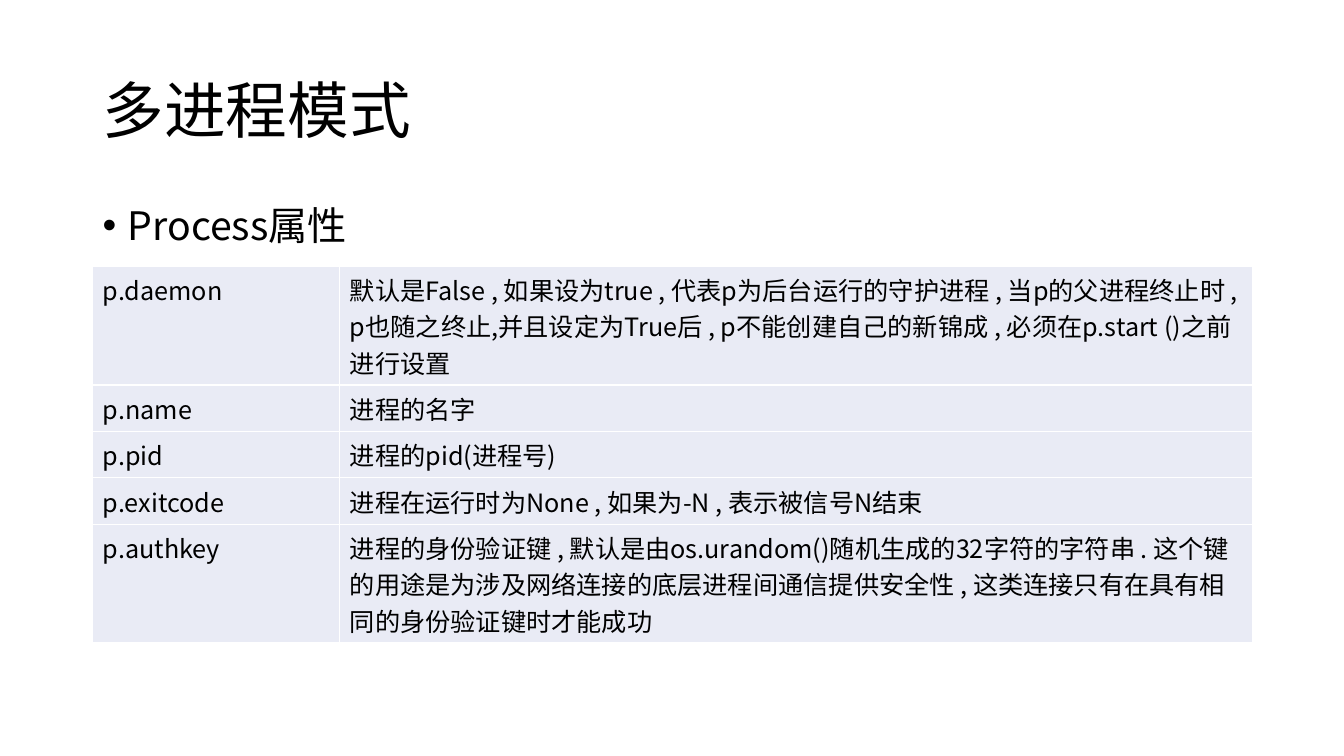
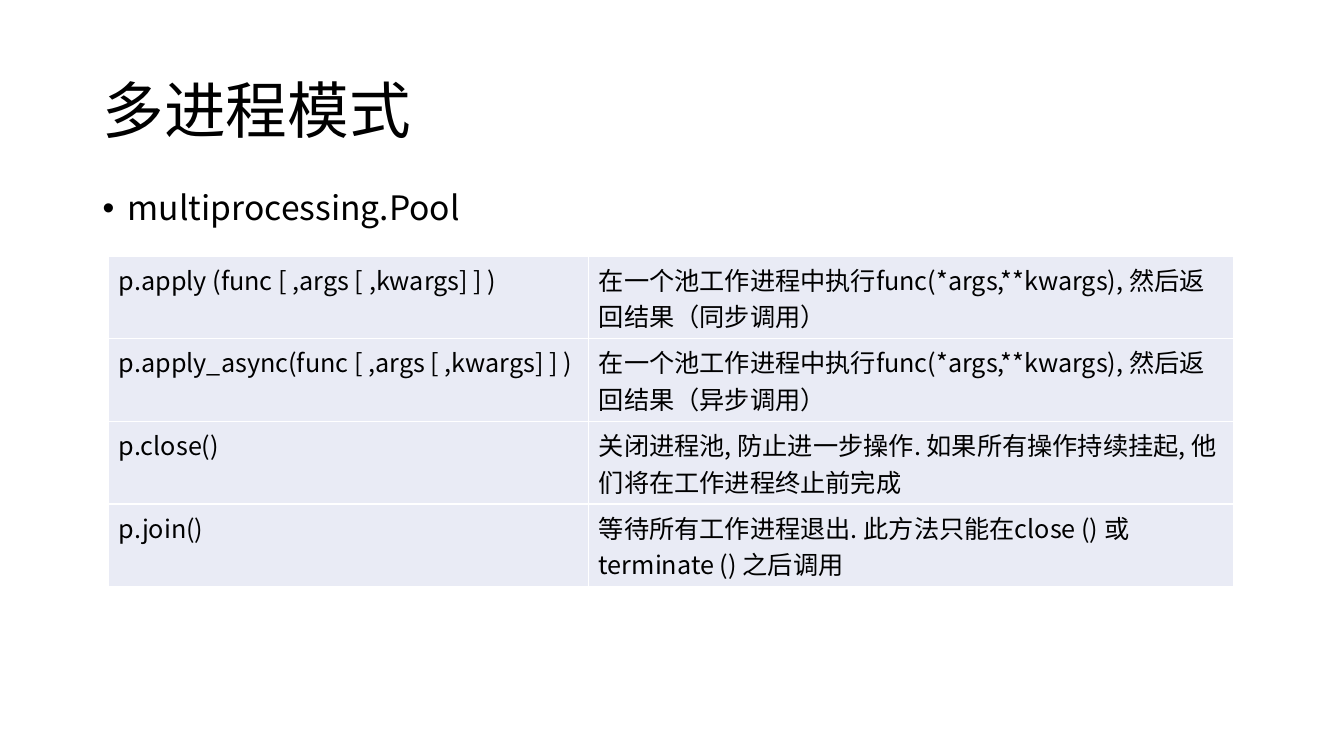
from dataclasses import dataclass

from lxml.etree import SubElement
from pptx import Presentation
from pptx.dml.color import RGBColor
from pptx.enum.text import MSO_ANCHOR as Anchor
from pptx.oxml.ns import qn
from pptx.slide import Slide
from pptx.table import _Cell as Cell
from pptx.text.text import _Paragraph as Paragraph
from pptx.util import Pt

PX = 9144
SLIDE_SIZE = (1333, 750)
FONT = "Noto Sans CJK SC"
COLORS = {"text": "000000", "cell": "E9EBF5", "border": "FFFFFF"}
TITLE = "多进程模式"
TITLE_SIZE, CELL_SIZE = 44, 18
MARGIN, CONTENT_WIDTH = 92, 1150
TITLE_TOP, TITLE_HEIGHT = 40, 145
BODY_HEIGHT = 476
BULLET_INDENT = 25
CELL_PADDING, CELL_LINE = 10, 36


@dataclass(frozen=True)
class Entry:
    """A documented member, its description and the lines that takes."""

    member: str
    description: str
    lines: int


@dataclass(frozen=True)
class Topic:
    """The heading and reference table of one slide."""

    heading: str
    heading_size: int
    heading_top: int
    table_left: int
    table_top: int
    columns: tuple[int, int]
    entries: tuple[Entry, ...]


TOPICS = (
    Topic("Process属性", 28, 200, 92, 264, (245, 905), (
        Entry("p.daemon", "默认是False , 如果设为true , 代表p为后台运行的守护进程 , "
              "当p的父进程终止时 , p也随之终止,并且设定为True后 , "
              "p不能创建自己的新锦成 , 必须在p.start ()之前进行设置", 3),
        Entry("p.name", "进程的名字", 1),
        Entry("p.pid", "进程的pid(进程号)", 1),
        Entry("p.exitcode", "进程在运行时为None , 如果为-N , 表示被信号N结束", 1),
        Entry("p.authkey", "进程的身份验证键 , 默认是由os.urandom()随机生成的32字符的字符串 . "
              "这个键的用途是为涉及网络连接的底层进程间通信提供安全性 , "
              "这类连接只有在具有相同的身份验证键时才能成功", 3),
    )),
    Topic("multiprocessing.Pool", 24, 185, 108, 254, (476, 640), (
        Entry("p.apply (func [ ,args [ ,kwargs] ] )",
              "在一个池工作进程中执行func(*args,**kwargs), 然后返回结果（同步调用）", 2),
        Entry("p.apply_async(func [ ,args [ ,kwargs] ] )",
              "在一个池工作进程中执行func(*args,**kwargs), 然后返回结果（异步调用）", 2),
        Entry("p.close()",
              "关闭进程池, 防止进一步操作. 如果所有操作持续挂起, 他们将在工作进程终止前完成", 2),
        Entry("p.join()",
              "等待所有工作进程退出. 此方法只能在close () 或terminate () 之后调用", 2),
    )),
)


def color(name: str) -> RGBColor:
    """Look up a palette colour."""
    return RGBColor.from_string(COLORS[name])


def add_run(paragraph: Paragraph, words: str, size: int) -> None:
    """Add one run in the shared font to a paragraph."""
    run = paragraph.add_run()
    run.text = words
    run.font.size = Pt(size)
    run.font.color.rgb = color("text")
    run.font.name = FONT
    SubElement(run.font._element, qn("a:ea"), typeface=FONT)


def add_text(slide: Slide, words: str, size: int, top: int, height: int,
             anchor: Anchor) -> Paragraph:
    """Add a content-wide text box and return its paragraph."""
    frame = slide.shapes.add_textbox(
        MARGIN * PX, top * PX, CONTENT_WIDTH * PX, height * PX).text_frame
    frame.word_wrap = True
    frame.vertical_anchor = anchor
    paragraph = frame.paragraphs[0]
    paragraph.line_spacing = 0.9
    add_run(paragraph, words, size)
    return paragraph


def add_heading(slide: Slide, topic: Topic) -> None:
    """Add the bulleted heading of a topic."""
    heading = add_text(slide, topic.heading, topic.heading_size,
                       topic.heading_top, BODY_HEIGHT, Anchor.TOP)
    heading.space_before = Pt(10)
    properties = heading._p.get_or_add_pPr()
    properties.set("marL", str(BULLET_INDENT * PX))
    properties.set("indent", str(-BULLET_INDENT * PX))
    SubElement(properties, qn("a:buFont"), typeface="Arial")
    SubElement(properties, qn("a:buChar"), char="•")


def fill_cell(cell: Cell, words: str) -> None:
    """Write, border and fill one table cell."""
    add_run(cell.text_frame.paragraphs[0], words, CELL_SIZE)
    properties = cell._tc.get_or_add_tcPr()
    for side in ("lnL", "lnR", "lnT", "lnB"):
        line = SubElement(properties, qn(f"a:{side}"), w=str(Pt(1)))
        paint = SubElement(line, qn("a:solidFill"))
        SubElement(paint, qn("a:srgbClr"), val=COLORS["border"])
    cell.fill.solid()
    cell.fill.fore_color.rgb = color("cell")


def add_reference(slide: Slide, topic: Topic) -> None:
    """Add the member table of a topic."""
    heights = [CELL_PADDING + CELL_LINE * entry.lines for entry in topic.entries]
    table = slide.shapes.add_table(
        len(topic.entries), len(topic.columns), topic.table_left * PX,
        topic.table_top * PX, sum(topic.columns) * PX, sum(heights) * PX).table
    table.first_row = table.horz_banding = False
    for column, width in zip(table.columns, topic.columns):
        column.width = width * PX
    for row, height, entry in zip(table.rows, heights, topic.entries):
        row.height = height * PX
        for cell, words in zip(row.cells, (entry.member, entry.description)):
            fill_cell(cell, words)


def main() -> None:
    """Build and save the presentation."""
    deck = Presentation()
    deck.slide_width, deck.slide_height = (side * PX for side in SLIDE_SIZE)
    for topic in TOPICS:
        slide = deck.slides.add_slide(deck.slide_layouts[6])
        add_text(slide, TITLE, TITLE_SIZE, TITLE_TOP, TITLE_HEIGHT, Anchor.MIDDLE)
        add_heading(slide, topic)
        add_reference(slide, topic)
    deck.save("out.pptx")


if __name__ == "__main__":
    main()
